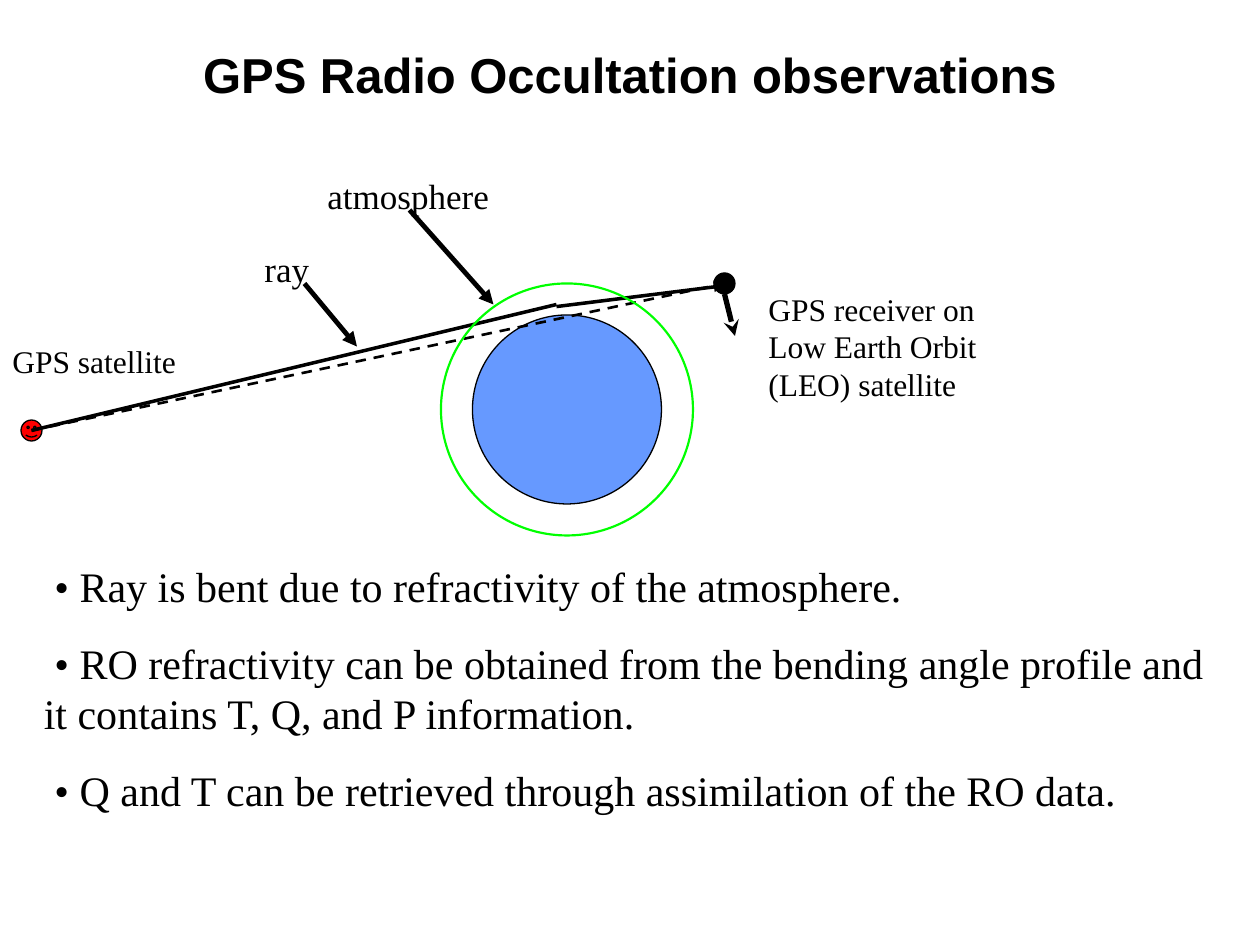
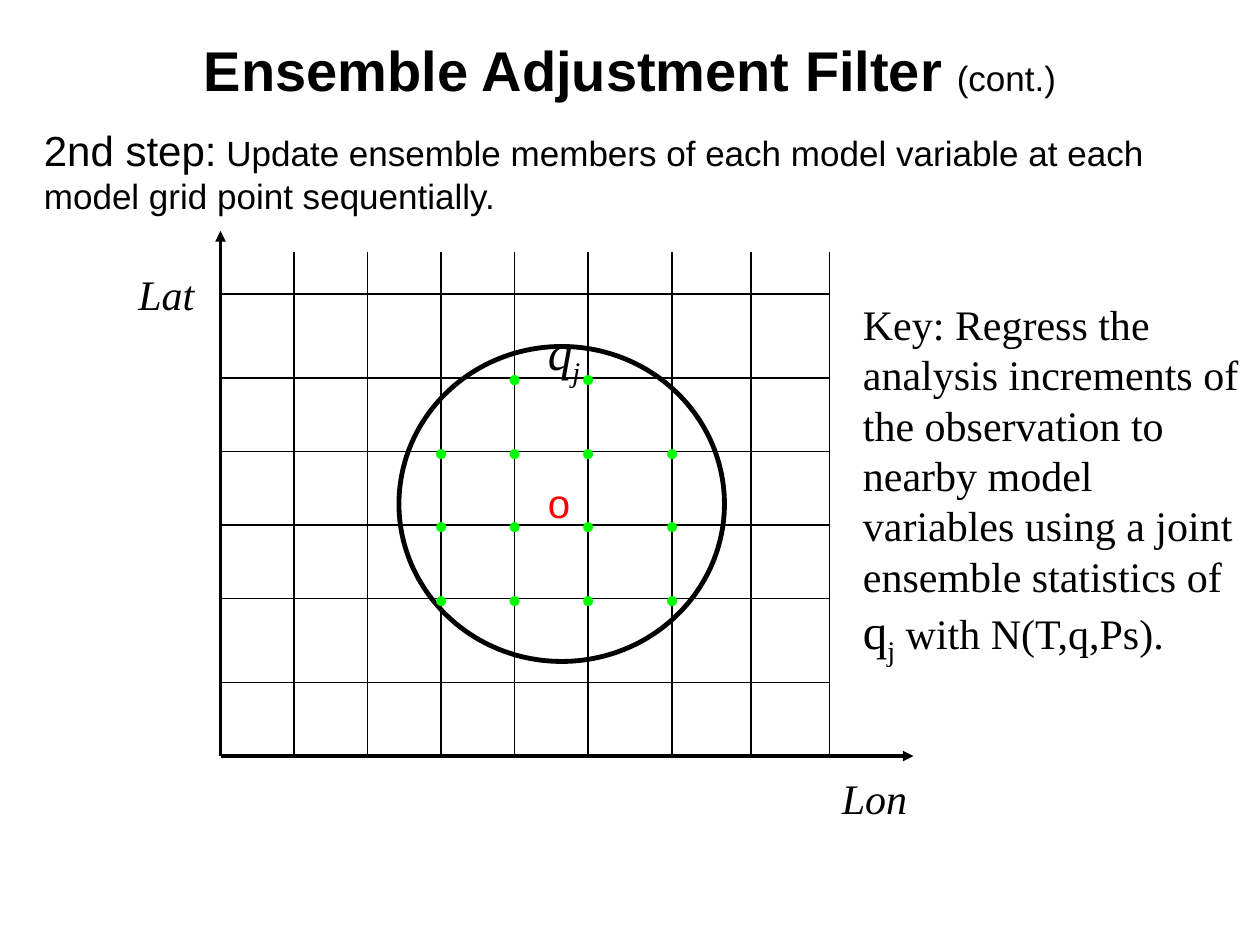
from dataclasses import dataclass

from lxml import etree
from pptx import Presentation
from pptx.dml.color import RGBColor
from pptx.enum.dml import MSO_LINE
from pptx.enum.shapes import MSO_CONNECTOR, MSO_SHAPE
from pptx.enum.text import MSO_ANCHOR, MSO_AUTO_SIZE, PP_ALIGN
from pptx.oxml.ns import qn
from pptx.util import Inches, Pt

OVAL, FACE = MSO_SHAPE.OVAL, MSO_SHAPE.SMILEY_FACE
STRAIGHT, DASH = MSO_CONNECTOR.STRAIGHT, MSO_LINE.DASH
TOP, MIDDLE = MSO_ANCHOR.TOP, MSO_ANCHOR.MIDDLE
LEFT, CENTER = PP_ALIGN.LEFT, PP_ALIGN.CENTER
FIT = MSO_AUTO_SIZE.SHAPE_TO_FIT_TEXT
UNITS_PER_INCH = 12
COLUMNS, ROWS = 120, 90


@dataclass(frozen=True)
class Theme:
    """Fonts, colours and type sizes of the deck."""
    sans: str = "Arial"
    serif: str = "Times New Roman"
    ink: str = "000000"
    earth: str = "6699FF"
    red: str = "FF0000"
    green: str = "00FF00"
    heading: int = 32
    title: int = 28
    body: int = 24
    marker: int = 23
    label: int = 20
    note: int = 18


@dataclass(frozen=True)
class Box:
    """An area of the slide, in grid units."""
    x: float
    y: float
    w: float
    h: float

    def area(self, x, y, w, h):
        """Return an area placed from this box's corner."""
        return Box(self.x + x, self.y + y, w, h)

    def emu(self):
        """Return left, top, width and height as lengths."""
        return [units(v) for v in (self.x, self.y, self.w, self.h)]


T = Theme()


def units(value):
    """Turn grid units into a length."""
    return Inches(value / UNITS_PER_INCH)


def set_font(font, size=None, name=None, color=None, bold=None, italic=None, sub=False):
    """Set only the given font properties."""
    if size:
        font.size = Pt(size)
    if name:
        font.name = name
    if color:
        font.color.rgb = RGBColor.from_string(color)
    if bold is not None:
        font.bold = bold
    if italic is not None:
        font.italic = italic
    if sub:
        font._element.set("baseline", "-25000")


def add_text(slide, box, paragraphs, size=None, name=T.serif, color=T.ink, italic=None,
             bold=None, align=LEFT, anchor=TOP, wrap=True, gap=0, indent=0):
    """Add a text box; a paragraph is a string or a list of (text, font) runs."""
    tf = slide.shapes.add_textbox(*box.emu()).text_frame
    tf.word_wrap, tf.auto_size, tf.vertical_anchor = wrap, FIT, anchor
    for i, runs in enumerate(paragraphs):
        p = tf.add_paragraph() if i else tf.paragraphs[0]
        p.alignment = align
        if i and gap:
            p.space_before = Pt(gap)
        if indent:
            p._p.get_or_add_pPr().set("indent", str(units(indent)))
        set_font(p.font, size, name, color, bold, italic)
        for text, font in [(runs, {})] if isinstance(runs, str) else runs:
            r = p.add_run()
            r.text = text
            set_font(r.font, **font)
    return tf


def add_round(slide, kind, box, fill=None, line=T.ink, width=0.75):
    """Add a round shape, hollow when it has no fill."""
    sp = slide.shapes.add_shape(kind, *box.emu())
    sp.shadow.inherit = False
    if fill:
        sp.fill.solid()
        sp.fill.fore_color.rgb = RGBColor.from_string(fill)
    else:
        sp.fill.background()
    sp.line.color.rgb = RGBColor.from_string(line)
    sp.line.width = Pt(width)
    return sp


def add_line(slide, box, start, end, width, arrow=None, dash=None):
    """Draw a straight line between two points of a box."""
    ends = [units(v) for x, y in (start, end) for v in (box.x + x, box.y + y)]
    line = slide.shapes.add_connector(STRAIGHT, *ends)
    line.line.color.rgb = RGBColor.from_string(T.ink)
    line.line.width = Pt(width)
    if dash:
        line.line.dash_style = dash
    if arrow:
        etree.SubElement(line.line._get_or_add_ln(), qn("a:tailEnd"), type=arrow)
    etree.SubElement(line._element.spPr, qn("a:effectLst"))


def occultation_diagram(slide, box):
    """Draw the bent ray from one satellite past the earth to the other."""
    source, bend, receiver = (3, 25), (53, 13), (69, 11)
    add_round(slide, OVAL, box.area(45, 14, 18, 18), T.earth)
    add_round(slide, FACE, box.area(2, 24, 2, 2), T.red)
    add_line(slide, box, bend, source, 2)
    add_line(slide, box, (53, 13.2), (69, 11.2), 2, "triangle")
    face = add_round(slide, FACE, box.area(68, 10, 2, 2), T.ink)
    face.adjustments[0] = -0.05
    add_line(slide, box, (69, 12), (70, 16), 3, "stealth")
    add_text(slide, box.area(72, 11, 24, 12),
             ["GPS receiver on Low Earth Orbit (LEO) satellite"], T.note)
    add_text(slide, box.area(0, 16, 19, 4.8), ["GPS satellite"], T.note)
    add_line(slide, box, source, receiver, 1.5, "triangle", DASH)
    add_round(slide, OVAL, box.area(42, 11, 24, 24), line=T.green, width=1.25)
    for word, x, y, w, start, end in (("ray", 24, 7, 9, (29, 11), (34, 17)),
                                      ("atmosphere", 30, 0, 19, (39, 4), (47, 13))):
        add_text(slide, box.area(x, y, w, 5.3), [word], T.label)
        add_line(slide, box, start, end, 2.75, "triangle")


def model_grid(slide, box):
    """Draw the grid with its axes, search circle and nearby points."""
    columns = [7, 14, 21, 28, 35, 43, 50.5, 58]
    rows = [4, 12, 19, 26, 33, 41]
    origin = (0, box.h)
    add_line(slide, box, origin, (66, box.h), 2, "triangle")
    add_line(slide, box, origin, (0, -2), 2, "triangle")
    for word, x, y in (("Lon", 58, 49), ("Lat", -9, 1)):
        add_text(slide, box.area(x, y, 12, 6), [word], T.body, italic=True)
    for y in rows:
        add_line(slide, box, (0, y), (box.w, y), 1)
    for x in columns:
        add_line(slide, box, (x, box.h), (x, 0), 1)
    add_text(slide, box.area(30, 21, 6, 5.9), ["o"], T.marker, T.sans, T.red)
    add_round(slide, OVAL, box.area(17, 9, 31, 30), width=2.75)
    for y in rows[1:5]:
        for x in columns[3:5] if y == rows[1] else columns[2:6]:
            add_text(slide, box.area(x - 1.86, y - 3, 3.72, 6), ["•"], T.body,
                     color=T.green, align=CENTER, anchor=MIDDLE, wrap=False)
    add_text(slide, box.area(30, 6, 7, 7.5), [[("q", {}), ("j", {"sub": True})]],
             T.title, italic=True)


def key_note(slide, box):
    """Write the key idea beside the grid."""
    idea = ("Key: Regress the analysis increments of the observation to nearby "
            "model variables using a joint ensemble statistics of ")
    add_text(slide, box, [[(idea, {"size": T.body}), ("q", {"size": T.title}),
                           ("j", {"size": T.title, "sub": True}),
                           (" with N(T,q,Ps).", {"size": T.body})]], anchor=MIDDLE)


def occultation_slide(slide, page):
    """Build the slide on radio occultation."""
    add_text(slide, page.area(0, 3, page.w, 8), ["GPS Radio Occultation observations"],
             T.title, T.sans, bold=True, align=CENTER, anchor=MIDDLE)
    occultation_diagram(slide, page.area(0, 16, 96, 35))
    add_text(slide, page.area(3, 52.8, 115, 25.4), [
        "• Ray is bent due to refractivity of the atmosphere.",
        "• RO refractivity can be obtained from the bending angle profile and "
        "it contains T, Q, and P information.",
        "• Q and T can be retrieved through assimilation of the RO data.",
    ], T.body, gap=15, indent=1)


def filter_slide(slide, page):
    """Build the slide on the second filter step."""
    tf = add_text(slide, page.area(3, 2.75, 114, 18.5), [
        [("Ensemble Adjustment Filter", {"size": T.heading, "bold": True}),
         (" ", {"size": T.title, "bold": True}), ("(cont.)", {"size": T.label})],
        [("2nd step:", {"size": T.body}),
         (" Update ensemble members of each model variable at each model grid "
          "point sequentially.", {"size": T.label})],
    ], name=T.sans, anchor=MIDDLE, gap=12.5)
    tf.paragraphs[0].alignment = CENTER
    model_grid(slide, page.area(21, 24, 58, 48))
    key_note(slide, page.area(81, 27.8, 39, 36.4))


def main():
    """Build and save the deck."""
    prs = Presentation()
    prs.slide_width, prs.slide_height = units(COLUMNS), units(ROWS)
    page = Box(0, 0, COLUMNS, ROWS)
    for build in (occultation_slide, filter_slide):
        build(prs.slides.add_slide(prs.slide_layouts[6]), page)
    prs.save("out.pptx")


if __name__ == "__main__":
    main()
